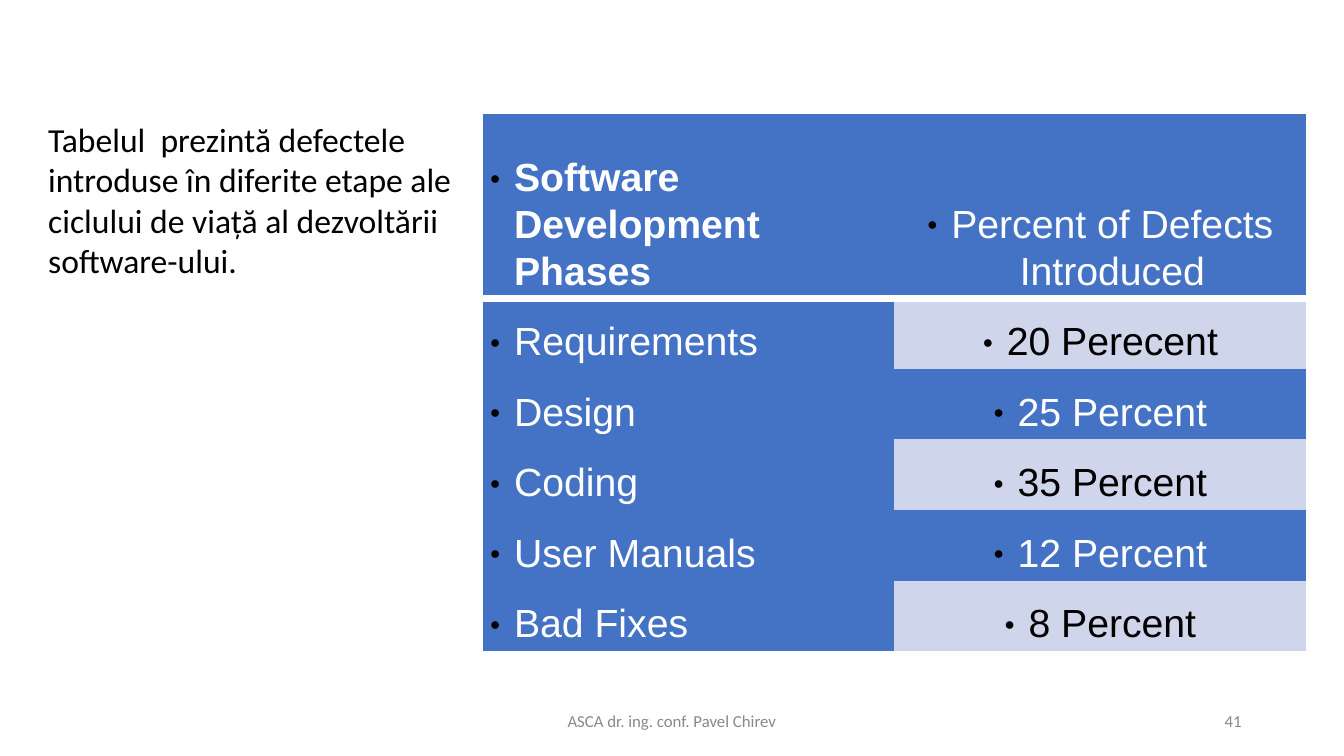
from dataclasses import dataclass

from lxml import etree
from pptx import Presentation
from pptx import util as u
from pptx.dml.color import RGBColor
from pptx.enum import text
from pptx.oxml import ns


@dataclass(frozen=True)
class Theme:
    accent: str = "4472C4"
    band: str = "CFD5EA"
    light: str = "FFFFFF"
    dark: str = "000000"
    muted: str = "898989"
    table_font: str = "Arial"
    body_font: str = "Calibri"
    table_size: float = 28
    body_size: float = 24
    footer_size: float = 12


@dataclass(frozen=True)
class TextBlock:
    words: str
    left: float
    top: float
    width: float
    height: float
    size: float
    color: str
    align: text.PP_ALIGN
    anchor: text.MSO_ANCHOR


@dataclass(frozen=True)
class DefectRow:
    phase: str
    share: str


THEME = Theme()
NO_STYLE = "{2D5ABB26-0587-4C30-8999-92F81FD0307C}"
TABLE_LEFT, TABLE_TOP = 344.88, 81.36
COLUMN_WIDTH, HEADER_HEIGHT, ROW_HEIGHT = 294, 131.76, 50.4
BULLET_INDENT = 17.28
HEADER_RULE = 6

ROWS = [
    DefectRow("Software Development Phases", "Percent of Defects Introduced"),
    DefectRow("Requirements", "20 Perecent"),
    DefectRow("Design", "25 Percent"),
    DefectRow("Coding", "35 Percent"),
    DefectRow("User Manuals", "12 Percent"),
    DefectRow("Bad Fixes", "8 Percent"),
]

BLOCKS = [
    TextBlock("ASCA dr. ing. conf. Pavel Chirev", 318, 500.5, 324, 28.75,
              THEME.footer_size, THEME.muted, text.PP_ALIGN.CENTER, text.MSO_ANCHOR.MIDDLE),
    TextBlock("41", 678, 500.5, 216, 28.75,
              THEME.footer_size, THEME.muted, text.PP_ALIGN.RIGHT, text.MSO_ANCHOR.MIDDLE),
    TextBlock("Tabelul  prezintă defectele introduse în diferite etape ale "
              "ciclului de viață al dezvoltării software-ului.",
              27.36, 81.36, 321, 123.84,
              THEME.body_size, THEME.dark, text.PP_ALIGN.LEFT, text.MSO_ANCHOR.TOP),
]


def add_run(paragraph, words: str, font: str, size: float, color: str, bold: bool = False) -> None:
    run = paragraph.add_run()
    run.text = words
    run.font.name = font
    run.font.size = u.Pt(size)
    run.font.bold = bold
    run.font.color.rgb = RGBColor.from_string(color)


def add_block(slide, block: TextBlock) -> None:
    shape = slide.shapes.add_textbox(*map(u.Pt, (block.left, block.top, block.width, block.height)))
    frame = shape.text_frame
    frame.word_wrap = True
    frame.vertical_anchor = block.anchor
    paragraph = frame.paragraphs[0]
    paragraph.alignment = block.align
    add_run(paragraph, block.words, THEME.body_font, block.size, block.color)


def add_bullet(paragraph) -> None:
    properties = paragraph._p.get_or_add_pPr()
    properties.set("marL", str(u.Pt(BULLET_INDENT)))
    properties.set("indent", str(-u.Pt(BULLET_INDENT)))
    color = etree.SubElement(properties, ns.qn("a:buClr"))
    etree.SubElement(color, ns.qn("a:srgbClr"), val=THEME.dark)
    etree.SubElement(properties, ns.qn("a:buSzPct"), val="45000")
    etree.SubElement(properties, ns.qn("a:buFont"), typeface=THEME.table_font)
    etree.SubElement(properties, ns.qn("a:buChar"), char="●")


def add_bottom_rule(cell) -> None:
    properties = cell._tc.get_or_add_tcPr()
    line = etree.Element(ns.qn("a:lnB"), w=str(u.Pt(HEADER_RULE)))
    fill = etree.SubElement(line, ns.qn("a:solidFill"))
    etree.SubElement(fill, ns.qn("a:srgbClr"), val=THEME.light)
    properties.insert(0, line)


def fill_cell(cell, words: str, row: int, column: int) -> None:
    banded = column == 1 and row % 2 == 1
    cell.fill.solid()
    cell.fill.fore_color.rgb = RGBColor.from_string(THEME.band if banded else THEME.accent)
    cell.vertical_anchor = text.MSO_ANCHOR.BOTTOM
    cell.margin_left = cell.margin_right = u.Pt(5.04)
    cell.margin_top = cell.margin_bottom = u.Pt(3.6)
    paragraph = cell.text_frame.paragraphs[0]
    paragraph.alignment = text.PP_ALIGN.CENTER if column else text.PP_ALIGN.LEFT
    paragraph.line_spacing = 1.07
    add_bullet(paragraph)
    add_run(paragraph, words, THEME.table_font, THEME.table_size,
            THEME.dark if banded else THEME.light, bold=row == column == 0)
    if row == 0:
        add_bottom_rule(cell)


def add_defect_table(slide, rows: list[DefectRow]) -> None:
    heights = [HEADER_HEIGHT] + [ROW_HEIGHT] * (len(rows) - 1)
    graphic = slide.shapes.add_table(len(rows), 2, u.Pt(TABLE_LEFT), u.Pt(TABLE_TOP),
                                     u.Pt(2 * COLUMN_WIDTH), u.Pt(sum(heights)))
    table = graphic.table
    table.first_row = table.horz_banding = False
    next(graphic.element.iter(ns.qn("a:tableStyleId"))).text = NO_STYLE
    for column in table.columns:
        column.width = u.Pt(COLUMN_WIDTH)
    for index, (row, height) in enumerate(zip(rows, heights)):
        table.rows[index].height = u.Pt(height)
        for column, words in enumerate((row.phase, row.share)):
            fill_cell(table.cell(index, column), words, index, column)


def main() -> None:
    presentation = Presentation()
    presentation.slide_width, presentation.slide_height = u.Pt(960), u.Pt(540)
    slide = presentation.slides.add_slide(presentation.slide_layouts[6])
    add_defect_table(slide, ROWS)
    for block in BLOCKS:
        add_block(slide, block)
    presentation.save("out.pptx")


if __name__ == "__main__":
    main()
